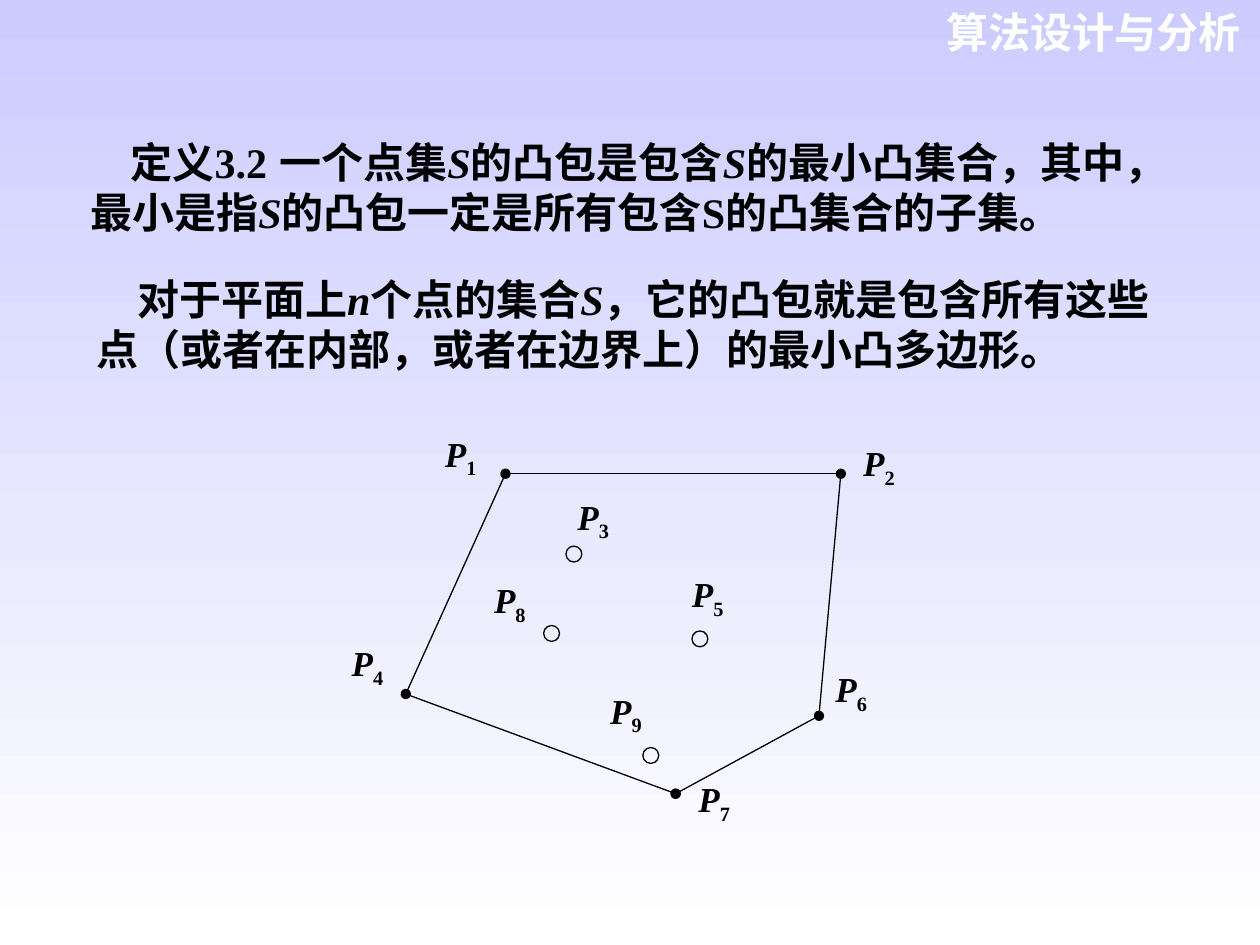
from lxml import etree
from pptx import Presentation
from pptx import util as u
from pptx.dml.color import RGBColor
from pptx.enum import shapes, text
from pptx.oxml import ns

BLACK = RGBColor(0x00, 0x00, 0x00)
WHITE = RGBColor(0xFF, 0xFF, 0xFF)
LAVENDER = RGBColor(0xCC, 0xCC, 0xFF)
CHINESE, LATIN, HEADER = "Noto Sans CJK SC", "Times New Roman", "Arial"

DEFINITION = [
    ("定义", CHINESE, False), ("3.2\t", LATIN, False), ("一个点集", CHINESE, False),
    ("S", LATIN, True), ("的凸包是包含", CHINESE, False), ("S", LATIN, True),
    ("的最小凸集合，其中，最小是指", CHINESE, False), ("S", LATIN, True),
    ("的凸包一定是所有包含", CHINESE, False), ("S", LATIN, False),
    ("的凸集合的子集。", CHINESE, False),
]
EXPLANATION = [
    ("对于平面上", CHINESE, False), ("n", LATIN, True), ("个点的集合", CHINESE, False),
    ("S", LATIN, True),
    ("，它的凸包就是包含所有这些点（或者在内部，或者在边界上）的最小凸多边形。", CHINESE, False),
]

HULL = {1: (3.1, 0.84), 2: (9.86, 0.84), 4: (1.09, 5.28), 6: (9.42, 5.72), 7: (6.53, 7.29)}
INNER = {3: (4.48, 2.46), 5: (7.02, 4.17), 8: (4.03, 4.06), 9: (6.03, 6.52)}
LABELS = {
    1: (1.88, 0), 2: (10.31, 0.2), 3: (4.55, 1.27), 4: (0, 4.22), 5: (6.86, 2.84),
    6: (9.75, 4.75), 7: (6.99, 6.96), 8: (2.87, 2.95), 9: (5.21, 5.18),
}
DOTTED_EDGES = [(1, 2), (4, 7), (7, 6)]
PLAIN_EDGES = [(1, 4), (2, 6)]


def add_element(parent, tag, **attributes):
    return etree.SubElement(parent, ns.qn(tag), attributes)


def style_font(para, size, color):
    para.font.size = u.Pt(size)
    para.font.bold = True
    para.font.color.rgb = color
    add_element(para.font._element, "a:ea", typeface=CHINESE)


def place_text(holder, box):
    holder.left, holder.top, holder.width, holder.height = map(u.Cm, box)
    frame = holder.text_frame
    frame.word_wrap = True
    frame.auto_size = text.MSO_AUTO_SIZE.NONE
    frame.vertical_anchor = text.MSO_ANCHOR.TOP
    return frame.paragraphs[0]


def add_spans(para, spans):
    for content, face, italic in spans:
        span = para.add_run()
        span.text = content
        span.font.name = face
        span.font.italic = italic


def fill_header(holder, box):
    para = place_text(holder, box)
    para.alignment = text.PP_ALIGN.RIGHT
    style_font(para, 24, WHITE)
    add_spans(para, [("算法设计与分析", HEADER, False)])


def fill_passage(holder, box, spans):
    para = place_text(holder, box)
    para.space_before = u.Pt(0)
    properties = para._p.get_or_add_pPr()
    properties.set("marL", "0")
    properties.set("indent", str(u.Cm(0.81)))
    add_element(properties, "a:buNone")
    tabs = add_element(properties, "a:tabLst")
    add_element(tabs, "a:tab", pos=str(u.Cm(4.33)), algn="l")
    style_font(para, 24, BLACK)
    add_spans(para, spans)


def add_edge(group, start, end, dotted):
    edge = group.shapes.add_connector(
        shapes.MSO_CONNECTOR.STRAIGHT, *map(u.Cm, (*start, *end)))
    edge.line.color.rgb = BLACK
    edge.line.width = u.Pt(0.75)
    if dotted:
        outline = edge.line._get_or_add_ln()
        add_element(outline, "a:headEnd", type="oval")
        add_element(outline, "a:tailEnd", type="oval")
    add_element(edge._element.spPr, "a:effectLst")


def add_inner_point(group, x, y):
    size = 0.32
    point = group.shapes.add_shape(
        shapes.MSO_SHAPE.OVAL, u.Cm(x - size / 2), u.Cm(y - size / 2), u.Cm(size), u.Cm(size))
    point.shadow.inherit = False
    point.fill.background()
    point.line.color.rgb = BLACK
    point.line.width = u.Pt(0.75)


def add_label(group, x, y, number):
    label = group.shapes.add_textbox(u.Cm(x), u.Cm(y), u.Cm(0.89), u.Cm(1.07))
    frame = label.text_frame
    frame.word_wrap = True
    frame.margin_left = frame.margin_right = frame.margin_top = frame.margin_bottom = 0
    para = frame.paragraphs[0]
    para.alignment = text.PP_ALIGN.JUSTIFY
    style_font(para, 20, BLACK)
    add_spans(para, [("P", LATIN, True), (str(number), LATIN, False)])
    para.runs[1].font._element.set("baseline", "-25000")


def draw_hull(page, left, top):
    def shift(position):
        return left + position[0], top + position[1]

    group = page.shapes.add_group_shape()
    for edges, dotted in ((DOTTED_EDGES, True), (PLAIN_EDGES, False)):
        for start, end in edges:
            add_edge(group, shift(HULL[start]), shift(HULL[end]), dotted)
    for position in INNER.values():
        add_inner_point(group, *shift(position))
    for number, position in LABELS.items():
        add_label(group, *shift(position), number)


def paint_background(page):
    fill = page.background.fill
    fill.gradient()
    fill.gradient_angle = 270
    for stop, color, position in zip(fill.gradient_stops, (LAVENDER, WHITE), (0, 1)):
        stop.color.rgb = color
        stop.position = position


def main():
    deck = Presentation()
    deck.slide_width, deck.slide_height = u.Cm(25.4), u.Cm(19.05)
    page = deck.slides.add_slide(deck.slide_layouts[3])
    paint_background(page)
    header, definition, explanation = page.placeholders
    fill_header(header, (18.39, 0, 6.88, 1.27))
    fill_passage(definition, (1.57, 2.62, 22.38, 3.3), DEFINITION)
    fill_passage(explanation, (1.7, 5.38, 22.23, 2.29), EXPLANATION)
    draw_hull(page, 7.09, 8.71)
    deck.save("out.pptx")


if __name__ == "__main__":
    main()
